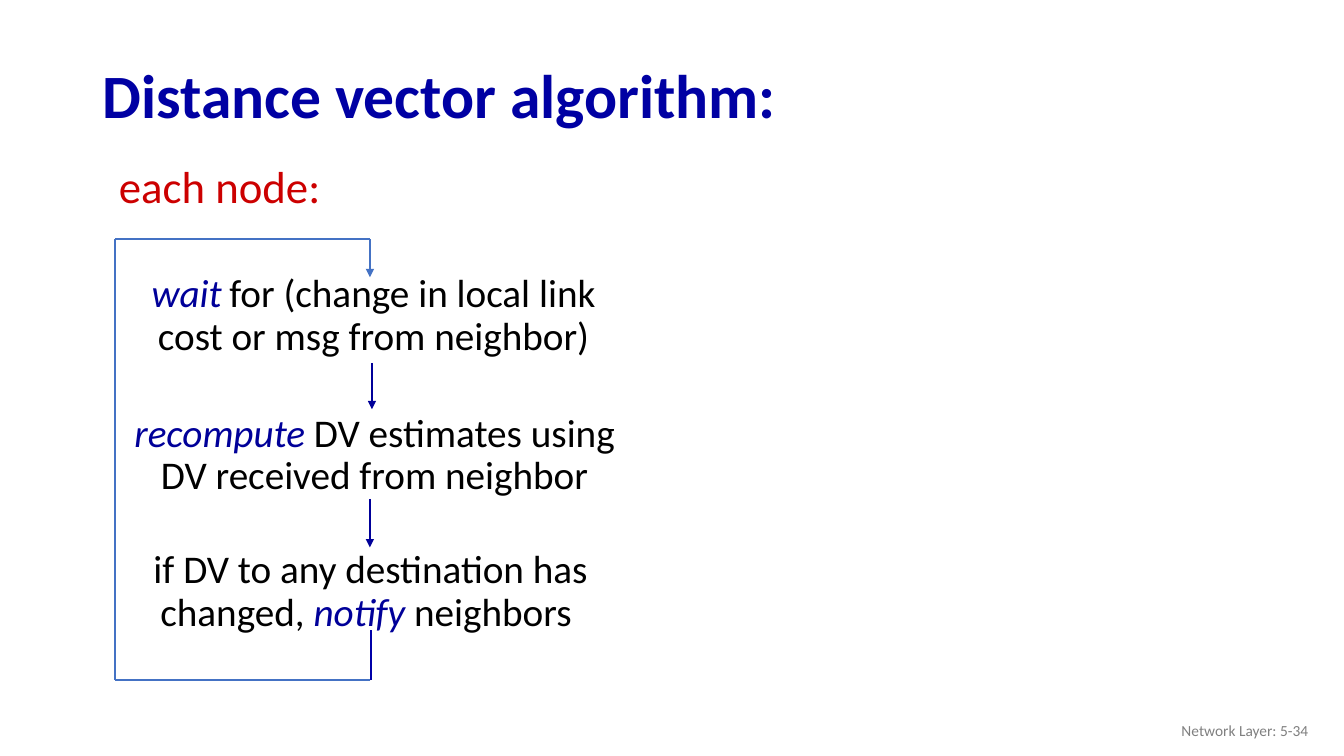
import dataclasses

import lxml.etree
import pptx
import pptx.dml.color
import pptx.enum.shapes
import pptx.enum.text
import pptx.oxml.ns
import pptx.slide
import pptx.util

COLUMNS, ROWS = 160, 90
CELL = pptx.util.Inches(1 / 12)
FONT = "Calibri"
COLORS = {
    "title": "0000A3",
    "heading": "CC0000",
    "keyword": "000099",
    "body": "000000",
    "footer": "808080",
    "step": "000099",
    "exit": "0000A8",
    "loop": "4472C4",
}
ALIGN = pptx.enum.text.PP_ALIGN
ANCHOR = pptx.enum.text.MSO_ANCHOR
STEP_WIDTH, STEP_HEIGHT = 60.6, 11.4
LOOP_LEFT, LOOP_RIGHT, LOOP_TOP, LOOP_BOTTOM = 13.7, 44.04, 28.5, 81


@dataclasses.dataclass
class Run:
    text: str
    size: int = 28
    color: str = "body"
    bold: bool = False
    italic: bool = False


@dataclasses.dataclass
class Label:
    column: float
    row: float
    width: float
    height: float
    runs: list[Run]
    align: ALIGN = ALIGN.CENTER
    anchor: ANCHOR = ANCHOR.TOP
    spacing: float = 0.9
    wrap: bool = True


@dataclasses.dataclass
class Line:
    start: tuple[float, float]
    end: tuple[float, float]
    color: str
    arrow: bool = False


def keyword(text: str) -> Run:
    return Run(text, color="keyword", italic=True)


def step(column: float, row: float, *runs: Run) -> Label:
    return Label(column, row, STEP_WIDTH, STEP_HEIGHT, list(runs))


LABELS = [
    Label(11.04, 5.88, 138, 11.76,
          [Run("Distance vector algorithm:", 44, "title", bold=True)],
          ALIGN.LEFT, ANCHOR.MIDDLE),
    Label(120.96, 84.6, 36, 4.8, [Run("Network Layer: 5-34", 11, "footer")],
          ALIGN.RIGHT, ANCHOR.MIDDLE, spacing=1.0),
    Label(12.84, 18.36, 26.64, 7.68, [Run("each node:", 32, "heading")],
          spacing=1.0, wrap=False),
    step(14.16, 32.04, keyword("wait"), Run(" ", 24),
         Run("for (change in local link cost or msg from neighbor)")),
    step(14.28, 48.66, keyword("recompute"),
         Run(" DV estimates using DV received from neighbor")),
    step(13.8, 64.86, Run("if DV to any destination has changed, "),
         keyword("notify"), Run(" neighbors ")),
]

LINES = [
    Line((44.28, 43.2), (44.28, 48.72), "step", arrow=True),
    Line((44.04, 59.4), (44.04, 65.16), "step", arrow=True),
    Line((44.16, LOOP_BOTTOM), (44.16, 75), "exit"),
    Line((LOOP_RIGHT, LOOP_TOP), (LOOP_RIGHT, 33), "loop", arrow=True),
    Line((LOOP_LEFT, LOOP_BOTTOM), (LOOP_RIGHT, LOOP_BOTTOM), "loop"),
    Line((LOOP_LEFT, LOOP_TOP), (LOOP_RIGHT, LOOP_TOP), "loop"),
    Line((LOOP_LEFT, LOOP_TOP), (LOOP_LEFT, LOOP_BOTTOM), "loop"),
]


def cells(*counts: float) -> list[int]:
    """Convert grid cells to slide lengths."""
    return [round(count * CELL) for count in counts]


def rgb(name: str) -> pptx.dml.color.RGBColor:
    return pptx.dml.color.RGBColor.from_string(COLORS[name])


def add_label(slide: pptx.slide.Slide, label: Label) -> None:
    shape = slide.shapes.add_textbox(
        *cells(label.column, label.row, label.width, label.height))
    frame = shape.text_frame
    frame.word_wrap = label.wrap
    frame.vertical_anchor = label.anchor
    paragraph = frame.paragraphs[0]
    paragraph.alignment = label.align
    paragraph.line_spacing = label.spacing
    for part in label.runs:
        run = paragraph.add_run()
        run.text = part.text
        run.font.name = FONT
        run.font.size = pptx.util.Pt(part.size)
        run.font.bold = part.bold
        run.font.italic = part.italic
        run.font.color.rgb = rgb(part.color)


def add_line(slide: pptx.slide.Slide, line: Line) -> None:
    connector = slide.shapes.add_connector(
        pptx.enum.shapes.MSO_CONNECTOR.STRAIGHT, *cells(*line.start, *line.end))
    connector.line.color.rgb = rgb(line.color)
    connector.line.width = pptx.util.Pt(1.5)
    qualify = pptx.oxml.ns.qn
    properties = connector._element.spPr
    if line.arrow:
        lxml.etree.SubElement(
            properties.find(qualify("a:ln")), qualify("a:tailEnd"), type="triangle")
    lxml.etree.SubElement(properties, qualify("a:effectLst"))


def main() -> None:
    presentation = pptx.Presentation()
    presentation.slide_width, presentation.slide_height = cells(COLUMNS, ROWS)
    slide = presentation.slides.add_slide(presentation.slide_layouts[6])
    for label in LABELS:
        add_label(slide, label)
    for line in LINES:
        add_line(slide, line)
    presentation.save("out.pptx")


if __name__ == "__main__":
    main()
